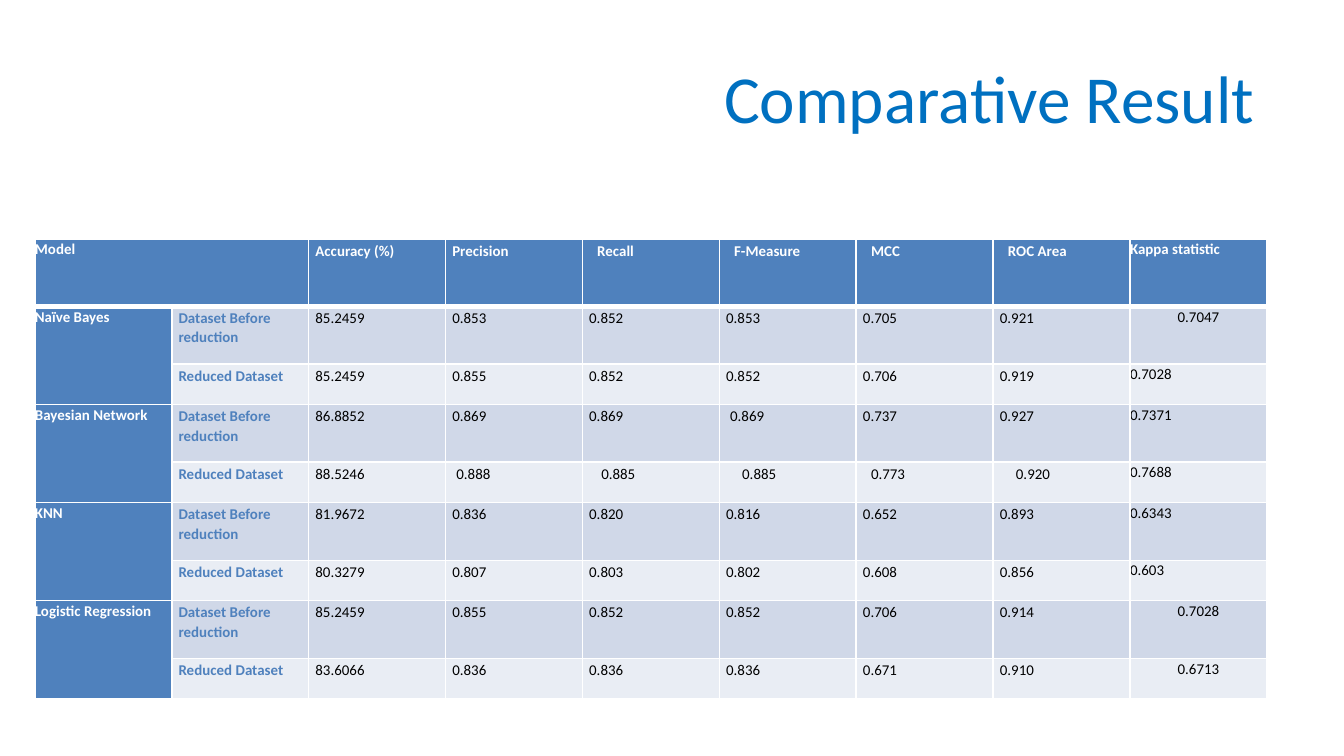
import dataclasses
import typing

import pptx
import pptx.dml.color
import pptx.enum.text
import pptx.oxml
import pptx.oxml.ns
import pptx.util

Inches = pptx.util.Inches
Pt = pptx.util.Pt
RGB = pptx.dml.color.RGBColor.from_string
ALIGN = pptx.enum.text.PP_ALIGN


@dataclasses.dataclass(frozen=True)
class Theme:
    font: str = "Calibri"
    title_size: float = 36
    cell_size: float = 8
    title: str = "0070C0"
    accent: str = "4F81BD"
    before: str = "D0D8E8"
    reduced: str = "E9EDF4"
    white: str = "FFFFFF"
    black: str = "000000"


@dataclasses.dataclass(frozen=True)
class Entry:
    text: str
    fill: str
    color: str
    bold: bool = False
    padded: bool = True
    indent: int = 0
    align: ALIGN = ALIGN.LEFT


@dataclasses.dataclass(frozen=True)
class Model:
    name: str
    before: str
    reduced: str
    centered: tuple[bool, bool] = (False, False)
    before_indents: tuple[int, ...] = (0,) * 7
    reduced_indents: tuple[int, ...] = (0,) * 7


THEME = Theme()
HEADERS = ["Accuracy (%)", "Precision", "Recall", "F-Measure", "MCC", "ROC Area",
           "Kappa statistic"]
HEADER_INDENTS = (0, 0, 2, 2, 2, 2, 0)
MODELS = [
    Model("Naïve Bayes",
          "85.2459 0.853 0.852 0.853 0.705 0.921 0.7047",
          "85.2459 0.855 0.852 0.852 0.706 0.919 0.7028",
          centered=(True, False)),
    Model("Bayesian Network",
          "86.8852 0.869 0.869 0.869 0.737 0.927 0.7371",
          "88.5246 0.888 0.885 0.885 0.773 0.920 0.7688",
          before_indents=(0, 0, 0, 1, 0, 0, 0),
          reduced_indents=(0, 1, 3, 4, 2, 4, 0)),
    Model("KNN",
          "81.9672 0.836 0.820 0.816 0.652 0.893 0.6343",
          "80.3279 0.807 0.803 0.802 0.608 0.856 0.603"),
    Model("Logistic Regression",
          "85.2459 0.855 0.852 0.852 0.706 0.914 0.7028",
          "83.6066 0.836 0.836 0.836 0.671 0.910 0.6713",
          centered=(True, True)),
]
COLUMNS = len(HEADERS) + 2
LAST = len(HEADERS) - 1
SLIDE_WIDTH = 10
SLIDE_HEIGHT = SLIDE_WIDTH * 9 / 16
HEADER_HEIGHT, BEFORE_HEIGHT, REDUCED_HEIGHT = 0.5, 0.43, 0.3
LEFT, TOP, WIDTH = 0.26, 1.78, 9.17
INDENT_STEP = 0.03


def apply(target: typing.Any, values: dict[str, typing.Any]) -> None:
    for name, value in values.items():
        setattr(target, name, value)


def write(p: typing.Any, text: str, size: float, color: str, bold: bool = False) -> None:
    r = p.add_run()
    r.text = text
    apply(r.font, {"name": THEME.font, "size": Pt(size), "bold": bold})
    r.font.color.rgb = RGB(color)


def draw_title(slide: typing.Any, text: str) -> None:
    sp = slide.shapes.add_textbox(Inches(0.58), Inches(0.3), Inches(8.85), Inches(0.84))
    tf = sp.text_frame
    apply(tf, {"word_wrap": True, "vertical_anchor": pptx.enum.text.MSO_ANCHOR.MIDDLE})
    p = tf.paragraphs[0]
    p.alignment = ALIGN.RIGHT
    write(p, text, THEME.title_size, THEME.title)


def draw_borders(cell: typing.Any, top: float, bottom: float) -> None:
    tc_pr = cell._tc.get_or_add_tcPr()
    sides = {"lnL": 1, "lnR": 1, "lnT": top, "lnB": bottom}
    for i, (side, width) in enumerate(sides.items()):
        tc_pr.insert(i, pptx.oxml.parse_xml(
            f'<a:{side} {pptx.oxml.ns.nsdecls("a")} w="{Pt(width)}"><a:solidFill>'
            f'<a:srgbClr val="{THEME.white}"/></a:solidFill></a:{side}>'))


def draw_cell(cell: typing.Any, entry: Entry) -> None:
    pad = 0.05 if entry.padded else 0
    apply(cell, {
        "margin_left": Inches(pad + entry.indent * INDENT_STEP),
        "margin_right": Inches(pad),
        "margin_top": Inches(0.01 if entry.padded else 0),
        "margin_bottom": 0,
    })
    cell.fill.solid()
    cell.fill.fore_color.rgb = RGB(entry.fill)
    p = cell.text_frame.paragraphs[0]
    apply(p, {"alignment": entry.align, "line_spacing": 1.07, "space_after": Pt(8)})
    write(p, entry.text, THEME.cell_size, entry.color, entry.bold)


def heading(text: str, padded: bool = False, indent: int = 0) -> Entry:
    return Entry(text, THEME.accent, THEME.white, True, padded, indent)


def result_row(label: str, values: str, fill: str, centered: bool,
               indents: tuple[int, ...]) -> list[Entry]:
    row = [Entry(label, fill, THEME.accent, True)]
    for i, (value, indent) in enumerate(zip(values.split(), indents)):
        align = ALIGN.CENTER if centered and i == LAST else ALIGN.LEFT
        row.append(Entry(value, fill, THEME.black, False, i != LAST, indent, align))
    return row


def draw_table(slide: typing.Any) -> None:
    heights = [HEADER_HEIGHT] + [BEFORE_HEIGHT, REDUCED_HEIGHT] * len(MODELS)
    table = slide.shapes.add_table(len(heights), COLUMNS, Inches(LEFT), Inches(TOP),
                                   Inches(WIDTH), Inches(sum(heights))).table
    for column in table.columns:
        column.width = Inches(WIDTH / COLUMNS)
    for i, height in enumerate(heights):
        table.rows[i].height = Inches(height)
        for cell in table.rows[i].cells:
            draw_borders(cell, 3 if i == 1 else 1, 3 if i == 0 else 1)

    table.cell(0, 0).merge(table.cell(0, 1))
    draw_cell(table.cell(0, 0), heading("Model"))
    for i, (text, indent) in enumerate(zip(HEADERS, HEADER_INDENTS)):
        draw_cell(table.cell(0, i + 2), heading(text, i != LAST, indent))

    for i, model in enumerate(MODELS):
        first = 1 + 2 * i
        table.cell(first, 0).merge(table.cell(first + 1, 0))
        draw_cell(table.cell(first, 0), heading(model.name))
        rows = [
            result_row("Dataset Before reduction", model.before, THEME.before,
                       model.centered[0], model.before_indents),
            result_row("Reduced Dataset", model.reduced, THEME.reduced,
                       model.centered[1], model.reduced_indents),
        ]
        for j, row in enumerate(rows):
            for k, entry in enumerate(row, start=1):
                draw_cell(table.cell(first + j, k), entry)


def main() -> None:
    prs = pptx.Presentation()
    apply(prs, {"slide_width": Inches(SLIDE_WIDTH), "slide_height": Inches(SLIDE_HEIGHT)})
    slide = prs.slides.add_slide(prs.slide_layouts[6])
    draw_title(slide, "Comparative Result")
    draw_table(slide)
    prs.save("out.pptx")


if __name__ == "__main__":
    main()
